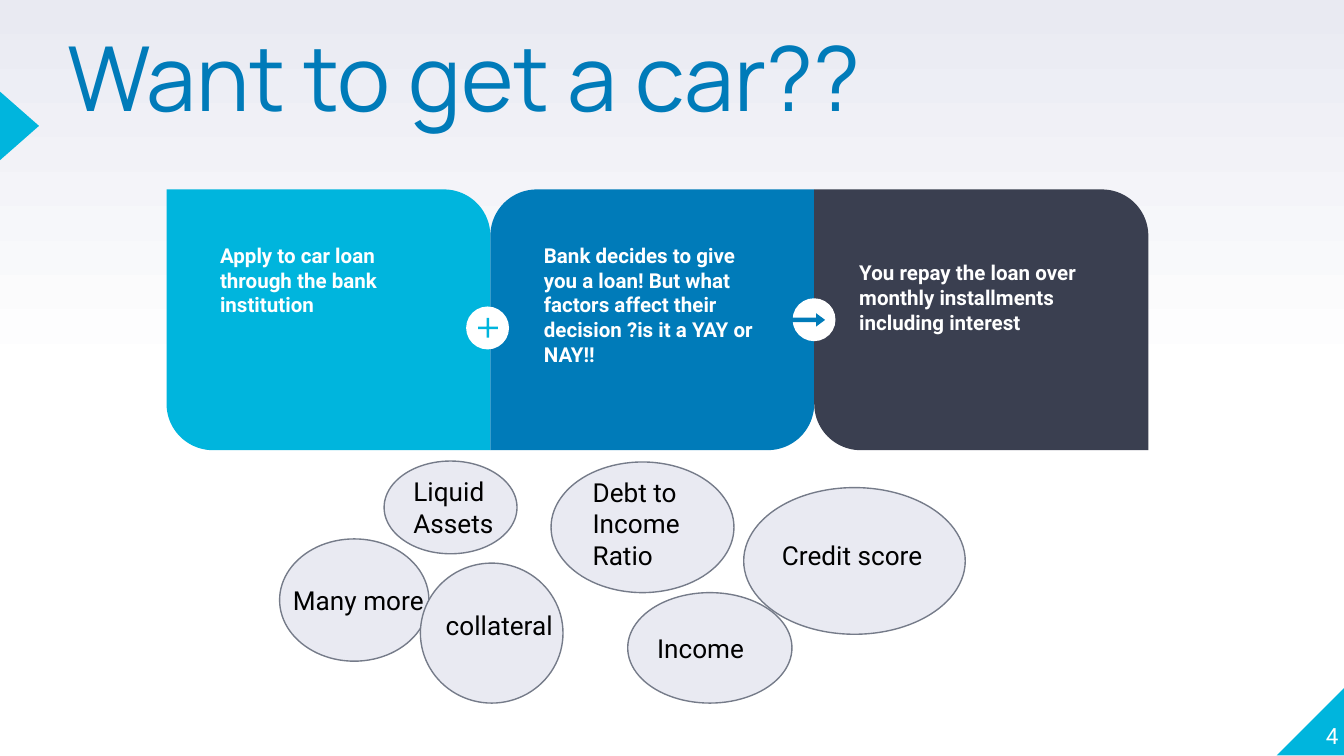
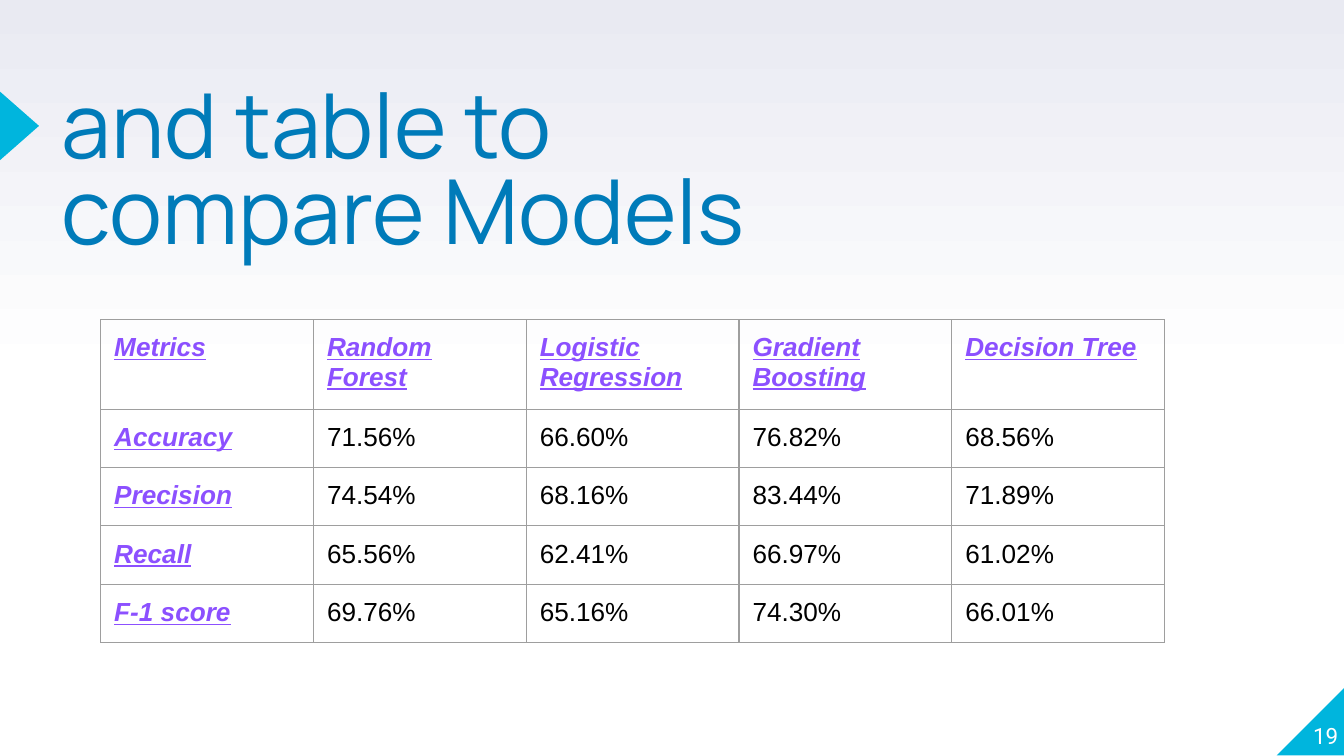
from copy import deepcopy

from pptx import Presentation
from pptx.dml.color import RGBColor
from pptx.enum.shapes import MSO_SHAPE
from pptx.enum.text import MSO_ANCHOR, PP_ALIGN
from pptx.oxml import parse_xml
from pptx.oxml.ns import nsdecls, qn
from pptx.util import Pt

WHITE = RGBColor(0xFF, 0xFF, 0xFF)
BLACK = RGBColor(0x00, 0x00, 0x00)
MIST = RGBColor(0xE9, 0xEA, 0xF2)
CYAN = RGBColor(0x00, 0xB5, 0xDD)
BLUE = RGBColor(0x00, 0x7B, 0xB9)
NAVY = RGBColor(0x3A, 0x3F, 0x50)
SLATE = RGBColor(0x75, 0x7B, 0x89)
PURPLE = RGBColor(0x8C, 0x50, 0xFF)
GRID = RGBColor(0x9E, 0x9E, 0x9E)

TITLE_FONT, BODY_FONT, TABLE_FONT = "Manrope", "Roboto", "Arial"
INSET = 7.2
HAIRLINE = 0.75


class Deck:
    def __init__(self):
        self.deck = Presentation()
        self.deck.slide_width, self.deck.slide_height = Pt(720), Pt(405)
        self.page = None

    def new_page(self, title, left, top, number):
        self.page = self.deck.slides.add_slide(self.deck.slide_layouts[6])
        self.background()
        corner = self.shape(MSO_SHAPE.RIGHT_TRIANGLE, 684, 368.2, 36.5, 36.5, CYAN)
        corner.rotation = 270
        marker = self.shape(MSO_SHAPE.ISOSCELES_TRIANGLE, -7.9, 57, 36.7, 20.9, CYAN)
        marker.rotation = 90
        heading = self.text(title, left, top, 444, 85, 48, BLUE, TITLE_FONT, inset=0)
        heading.paragraphs[0].line_spacing = 0.8
        footer = self.text(str(number), 681, 365, 36, 36.5, 12, WHITE, inset=0)
        footer.vertical_anchor = MSO_ANCHOR.BOTTOM
        footer.paragraphs[0].alignment = PP_ALIGN.RIGHT

    def background(self):
        """White up to the middle of the page, then fading to mist at the top."""
        fill = self.page.background.fill
        fill.gradient()
        fill.gradient_angle = 90
        for stop, color in zip(fill.gradient_stops, (WHITE, MIST)):
            stop.color.rgb = color
        stops = self.page.element.find(".//" + qn("a:gsLst"))
        middle = deepcopy(stops[0])
        middle.set("pos", "50000")
        stops.insert(1, middle)

    def shape(self, kind, left, top, width, height, color, line=None, adjust=()):
        shape = self.page.shapes.add_shape(kind, Pt(left), Pt(top), Pt(width), Pt(height))
        shape.shadow.inherit = False
        shape.fill.solid()
        shape.fill.fore_color.rgb = color
        if line is None:
            shape.line.fill.background()
        else:
            shape.line.color.rgb = line
            shape.line.width = Pt(HAIRLINE)
        for index, value in enumerate(adjust):
            shape.adjustments[index] = value
        return shape

    def add_span(self, frame, words, size, color, font, bold=False, slanted=False):
        """Add one run; slanted text is italic and underlined."""
        span = frame.paragraphs[0].add_run()
        span.text = words
        span.font.name, span.font.size = font, Pt(size)
        span.font.color.rgb = color
        span.font.bold = bold
        span.font.italic = span.font.underline = slanted

    def text(self, words, left, top, width, height, size, color,
             font=BODY_FONT, inset=INSET, bold=False):
        box = self.page.shapes.add_textbox(Pt(left), Pt(top), Pt(width), Pt(height))
        frame = box.text_frame
        frame.word_wrap = True
        frame.margin_left = frame.margin_right = Pt(inset)
        frame.margin_top = frame.margin_bottom = Pt(inset)
        self.add_span(frame, words, size, color, font, bold)
        return frame

    def badge(self, left, top):
        self.shape(MSO_SHAPE.OVAL, left, top, 23, 23, WHITE)

    def table(self, rows, left, top, column_width, heights):
        """Draw a ruled grid whose first row and first column are labels."""
        columns = len(rows[0])
        table = self.page.shapes.add_table(
            len(rows), columns, Pt(left), Pt(top),
            Pt(column_width * columns), Pt(sum(heights))).table
        table.first_row = table.horz_banding = False
        for column in table.columns:
            column.width = Pt(column_width)
        for r, (values, height) in enumerate(zip(rows, heights)):
            table.rows[r].height = Pt(height)
            for c, value in enumerate(values):
                cell = table.cell(r, c)
                self.rule(cell)
                cell.fill.background()
                cell.margin_left = cell.margin_right = Pt(INSET)
                cell.margin_top = cell.margin_bottom = Pt(INSET)
                label = r == 0 or c == 0
                self.add_span(cell.text_frame, value, 14, PURPLE if label else BLACK,
                              TABLE_FONT, bold=label, slanted=label)

    def rule(self, cell):
        properties = cell._tc.get_or_add_tcPr()
        for side in "LRTB":
            properties.append(parse_xml(
                f'<a:ln{side} {nsdecls("a")} w="{Pt(HAIRLINE)}"><a:solidFill>'
                f'<a:srgbClr val="{GRID}"/></a:solidFill></a:ln{side}>'))


def loan_page(deck):
    deck.new_page("Want to get a car??", 36, 23, 4)

    # panel width, colour, corner roundings, words, text offset, text top, text width
    panels = [
        (173.5, CYAN, (0, 0.178), "Apply to car loan through the bank institution",
         21.6, 123, 130),
        (173.5, BLUE, (0.178, 0), "Bank decides to give you a loan! But what factors affect "
         "their decision ?is it a YAY or NAY!!", 21.6, 123, 130),
        (179, NAVY, (0, 0.178), "You repay the loan over monthly installments "
         "including interest", 17, 132.3, 145),
    ]
    left = 89.2
    for width, color, corners, words, offset, top, text_width in panels:
        deck.shape(MSO_SHAPE.ROUND_2_DIAG_RECTANGLE, left, 101.5, width, 139.7, color,
                   adjust=corners)
        deck.text(words, left + offset, top, text_width, 72, 11, WHITE, bold=True)
        left += width

    deck.badge(424.6, 159.8)
    deck.shape(MSO_SHAPE.RIGHT_ARROW, 424.4, 167.8, 17.6, 7.2, BLUE, adjust=(0.32, 0.67))
    deck.badge(249.7, 164.2)
    deck.shape(MSO_SHAPE.MATH_PLUS, 254.2, 168.5, 14.4, 14.4, CYAN, adjust=(0.099,))

    # bubble frame, words, text frame
    factors = [
        ((149.8, 288.7, 80, 65.5), "Many more", (149.8, 306, 140, 32)),
        ((205.8, 247, 71.2, 49.7), "Liquid Assets", (214.4, 247.7, 94, 48)),
        ((225.2, 301.7, 76.4, 75), "collateral", (231.7, 319.5, 98, 32)),
        ((295.2, 247.5, 98, 70), "Debt to Income Ratio", (310.4, 248, 71, 65)),
        ((336.3, 317.5, 88, 59.2), "Income", (344.9, 331.5, 71, 32)),
        ((398.4, 261.2, 118.7, 78.6), "Credit score", (411.8, 281.7, 98, 32)),
    ]
    for bubble, _, _ in factors:
        deck.shape(MSO_SHAPE.OVAL, *bubble, MIST, line=SLATE)
    for _, words, place in factors:
        deck.text(words, *place, 14, BLACK)


def model_page(deck):
    deck.new_page("and table to compare Models", 33, 48.2, 19)
    rows = [
        ("Metrics", "Random Forest", "Logistic Regression", "Gradient Boosting",
         "Decision Tree"),
        ("Accuracy", "71.56%", "66.60%", "76.82%", "68.56%"),
        ("Precision", "74.54%", "68.16%", "83.44%", "71.89%"),
        ("Recall", "65.56%", "62.41%", "66.97%", "61.02%"),
        ("F-1 score", "69.76%", "65.16%", "74.30%", "66.01%"),
    ]
    deck.table(rows, 54, 171.2, 114, [45.8] + [30] * 4)


def main():
    deck = Deck()
    loan_page(deck)
    model_page(deck)
    deck.deck.save("out.pptx")


if __name__ == "__main__":
    main()
